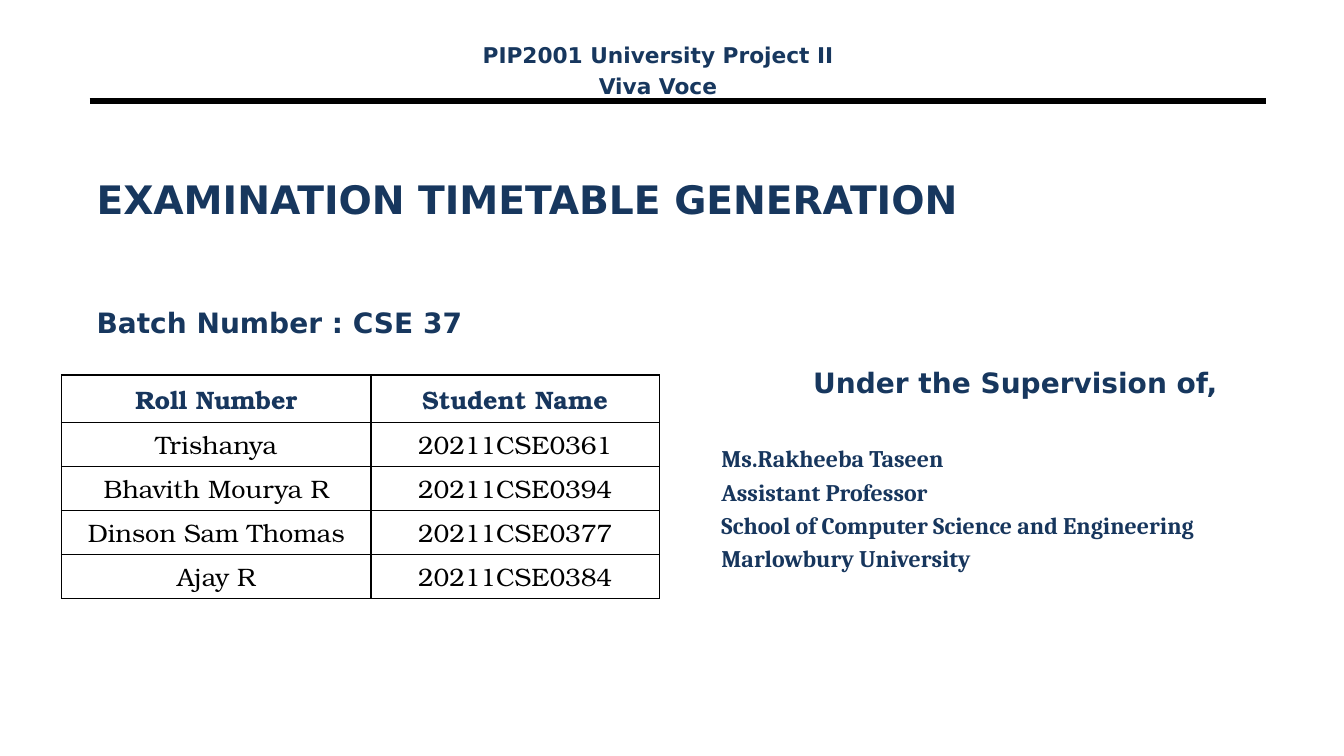
import dataclasses
import typing

import lxml.etree
import pptx
import pptx.dml.color
import pptx.enum.shapes
import pptx.enum.text
import pptx.oxml.ns
import pptx.util

Cm = pptx.util.Cm
Pt = pptx.util.Pt
ALIGN = pptx.enum.text.PP_ALIGN
ANCHOR = pptx.enum.text.MSO_ANCHOR
qn = pptx.oxml.ns.qn


@dataclasses.dataclass(frozen=True)
class Style:
    font: str
    size: float
    color: str
    bold: bool = True


@dataclasses.dataclass(frozen=True)
class Theme:
    black: str = "000000"
    title: Style = Style("DejaVu Sans", 28, "17375E")
    subtitle: Style = Style("DejaVu Sans", 20, "17375E")
    course: Style = Style("DejaVu Sans", 15.5, "17375E")
    supervisor: Style = Style("Cambria", 17, "17365D")
    table_head: Style = Style("TeX Gyre Bonum", 18, "17365D")
    table_body: Style = Style("TeX Gyre Bonum", 18, "000000", False)


@dataclasses.dataclass(frozen=True)
class Box:
    left: float
    top: float
    width: float
    height: float

    def lengths(self) -> tuple[pptx.util.Length, ...]:
        return Cm(self.left), Cm(self.top), Cm(self.width), Cm(self.height)


@dataclasses.dataclass(frozen=True)
class Line:
    text: str
    style: Style
    align: ALIGN = ALIGN.LEFT
    before: float = 0


THEME = Theme()
TITLE_BOX = Box(2.18, 2.97, 28.78, 4.09)
BATCH_BOX = Box(2.18, 7.57, 11.02, 1.52)
COURSE_BOX = Box(11.07, 0.94, 11.02, 1.52)
SUPERVISOR_BOX = Box(17.93, 9.09, 15.32, 6.76)
TABLE_BOX = Box(1.55, 9.45, 15.06, 5.64)
COLUMN_WIDTHS = (7.8, 7.26)
HEAD_HEIGHT = 1.2
ROW_HEIGHT = 1.11

STUDENTS = (
    ("Roll Number", "Student Name"),
    ("Trishanya", "20211CSE0361"),
    ("Bhavith Mourya R", "20211CSE0394"),
    ("Dinson Sam Thomas", "20211CSE0377"),
    ("Ajay R", "20211CSE0384"),
)
COURSE = (
    Line("PIP2001 University Project II", THEME.course, ALIGN.CENTER),
    Line("Viva Voce", THEME.course, ALIGN.CENTER, 3.1),
)
SUPERVISION = (
    Line("Under the Supervision of,", THEME.subtitle, ALIGN.CENTER),
    Line("Ms.Rakheeba Taseen", THEME.supervisor, before=32),
    Line("Assistant Professor", THEME.supervisor, before=3.4),
    Line("School of Computer Science and Engineering", THEME.supervisor, before=3.4),
    Line("Marlowbury University", THEME.supervisor, before=3.4),
)


def write(tf: typing.Any, lines: typing.Sequence[Line]) -> None:
    for i, line in enumerate(lines):
        p = tf.add_paragraph() if i else tf.paragraphs[0]
        p.alignment = line.align
        p.space_before = Pt(line.before)
        r = p.add_run()
        r.text = line.text
        r.font.name = line.style.font
        r.font.size = Pt(line.style.size)
        r.font.bold = line.style.bold
        r.font.color.rgb = pptx.dml.color.RGBColor.from_string(line.style.color)


def fill_box(sp: typing.Any, box: Box, lines: typing.Sequence[Line],
             anchor: ANCHOR = ANCHOR.TOP) -> None:
    sp.left, sp.top, sp.width, sp.height = box.lengths()
    tf = sp.text_frame
    tf.word_wrap = True
    tf.auto_size = pptx.enum.text.MSO_AUTO_SIZE.NONE
    tf.vertical_anchor = anchor
    write(tf, lines)


def add_rule(s: typing.Any) -> None:
    rule = s.shapes.add_connector(pptx.enum.shapes.MSO_CONNECTOR.STRAIGHT,
                                  Cm(2.26), Cm(2.54), Cm(31.9), Cm(2.54))
    rule.line.color.rgb = pptx.dml.color.RGBColor.from_string(THEME.black)
    rule.line.width = Pt(4.5)
    lxml.etree.SubElement(rule.element.spPr, qn("a:effectLst"))


def add_borders(cell: typing.Any) -> None:
    tcPr = cell._tc.get_or_add_tcPr()
    for i, side in enumerate(("a:lnL", "a:lnR", "a:lnT", "a:lnB")):
        ln = lxml.etree.Element(qn(side), w=str(Pt(1)))
        fill = lxml.etree.SubElement(ln, qn("a:solidFill"))
        lxml.etree.SubElement(fill, qn("a:srgbClr"), val=THEME.black)
        tcPr.insert(i, ln)


def add_students(s: typing.Any) -> None:
    table = s.shapes.add_table(len(STUDENTS), len(COLUMN_WIDTHS),
                               *TABLE_BOX.lengths()).table
    table.horz_banding = False
    table.first_row = False
    for column, width in zip(table.columns, COLUMN_WIDTHS):
        column.width = Cm(width)
    for i, values in enumerate(STUDENTS):
        table.rows[i].height = Cm(ROW_HEIGHT if i else HEAD_HEIGHT)
        style = THEME.table_body if i else THEME.table_head
        for cell, value in zip(table.rows[i].cells, values):
            cell.fill.background()
            cell.vertical_anchor = ANCHOR.MIDDLE
            write(cell.text_frame, [Line(value, style, ALIGN.CENTER)])
            add_borders(cell)


def main() -> None:
    prs = pptx.Presentation()
    prs.slide_width, prs.slide_height = Cm(33.87), Cm(19.05)
    s = prs.slides.add_slide(prs.slide_layouts[0])
    add_rule(s)
    fill_box(s.shapes.title, TITLE_BOX,
             [Line("EXAMINATION TIMETABLE GENERATION", THEME.title)], ANCHOR.MIDDLE)
    fill_box(s.placeholders[1], BATCH_BOX,
             [Line("Batch Number : CSE 37", THEME.subtitle)])
    for box, lines in ((SUPERVISOR_BOX, SUPERVISION), (COURSE_BOX, COURSE)):
        fill_box(s.shapes.add_textbox(*box.lengths()), box, lines)
    add_students(s)
    prs.save("out.pptx")


if __name__ == "__main__":
    main()
